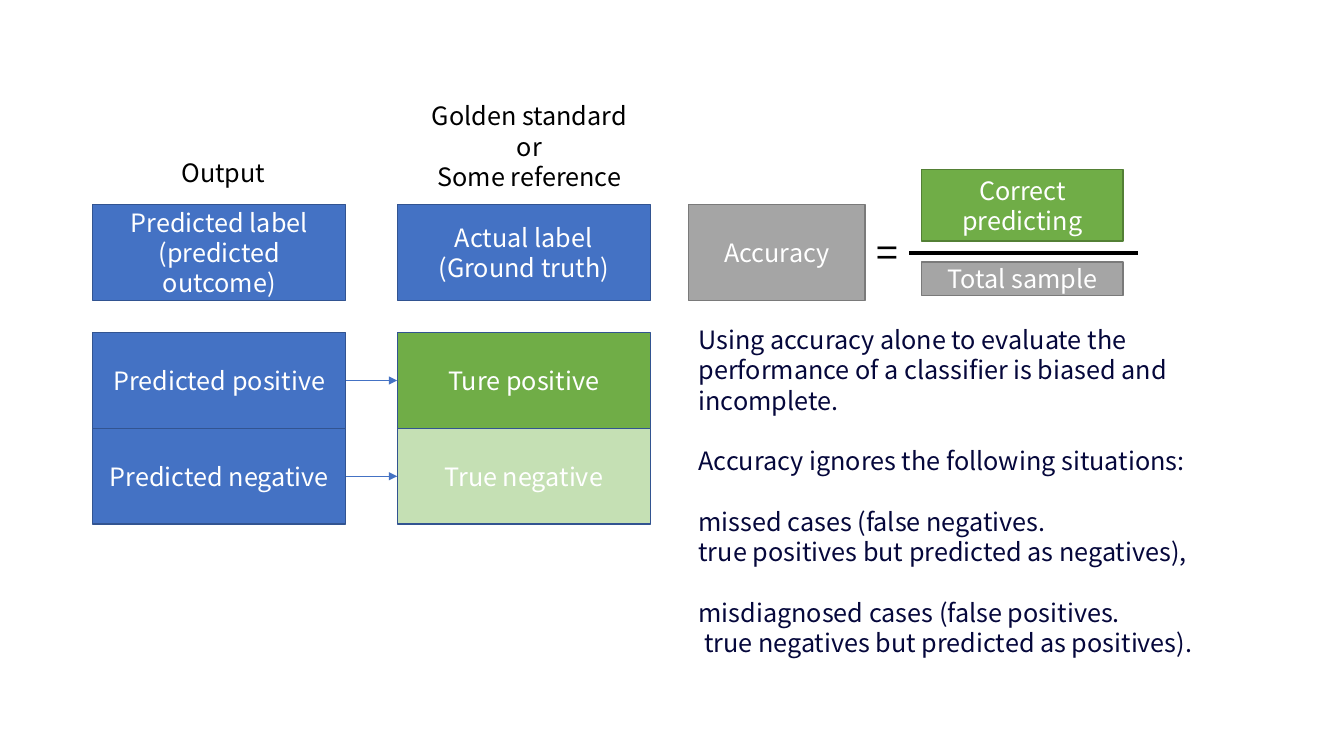
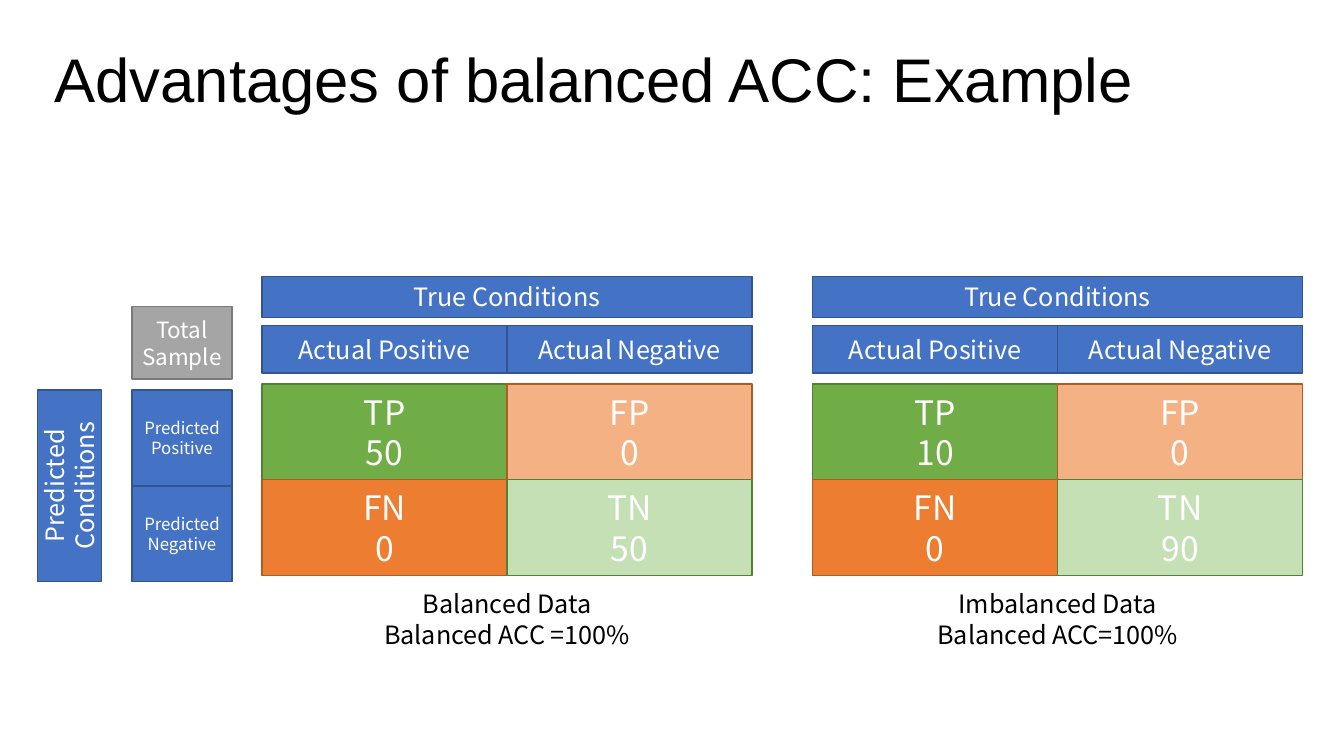
from lxml import etree
from pptx import Presentation
from pptx import util as u
from pptx.dml.color import RGBColor
from pptx.enum import shapes, text
from pptx.oxml import ns

BODY_FONT, TITLE_FONT = "Noto Sans CJK SC", "Arial"
BLUE, GREEN, GRAY = ("4472C4", "325491"), ("70AD47", "538035"), ("A5A5A5", "7A7A7A")
ORANGE, PEACH, PALE = ("ED7D31", "AF5C24"), ("F4B183", "AF5C24"), ("C5E0B4", "538035")
WHITE, BLACK, NAVY = "FFFFFF", "000000", "05073B"
CENTER, LEFT = text.PP_ALIGN.CENTER, text.PP_ALIGN.LEFT
ROW = 0.95


def color(value):
    """Turn a hex string into a colour."""
    return RGBColor.from_string(value)


def set_all(target, **values):
    """Set each given attribute on the target."""
    for name, value in values.items():
        setattr(target, name, value)


def write(shape, lines, size, ink, align=CENTER, font=BODY_FONT, frame=None):
    """Write one paragraph per line in a single style."""
    text_frame = shape.text_frame
    text_frame.text = lines
    set_all(text_frame, **{"word_wrap": True, **(frame or {})})
    for paragraph in text_frame.paragraphs:
        paragraph.alignment = align
        set_all(paragraph.font, name=font, size=u.Pt(size))
        paragraph.font.color.rgb = color(ink)
    return text_frame.paragraphs


def add_box(slide, box, lines, colors, size=18, rotation=0):
    """Add a filled rectangle with centred white text."""
    shape = slide.shapes.add_shape(shapes.MSO_SHAPE.RECTANGLE, *map(u.Inches, box))
    shape.shadow.inherit = False
    shape.rotation = rotation
    shape.fill.solid()
    shape.fill.fore_color.rgb = color(colors[0])
    shape.line.color.rgb = color(colors[1])
    shape.line.width = u.Pt(1)
    write(shape, lines, size, WHITE, frame={"vertical_anchor": text.MSO_ANCHOR.MIDDLE})
    return shape


def add_label(slide, box, lines, size=18, ink=BLACK, align=CENTER, wrap=True):
    """Add plain text and return its paragraphs."""
    shape = slide.shapes.add_textbox(*map(u.Inches, box))
    return write(shape, lines, size, ink, align, frame={"word_wrap": wrap})


def add_line(slide, start, end, ink, weight):
    """Add a straight line without a shadow."""
    line = slide.shapes.add_connector(
        shapes.MSO_CONNECTOR.STRAIGHT, *map(u.Inches, (*start, *end)))
    line.line.color.rgb = color(ink)
    line.line.width = u.Pt(weight)
    etree.SubElement(line._element.spPr, ns.qn("a:effectLst"))
    return line


def add_arrow(slide, source, target):
    """Join the right side of one box to the left side of another."""
    arrow = add_line(slide, (0, 0), (1, 1), BLUE[0], 0.5)
    arrow.begin_connect(source, 3)
    arrow.end_connect(target, 1)
    etree.SubElement(arrow.line._get_or_add_ln(), ns.qn("a:tailEnd"), type="triangle")


def add_label_column(slide, left, top, width, heading, cells):
    """Add a heading with two stacked cells below it."""
    add_box(slide, (left, top, width, ROW), heading, BLUE)
    return [add_box(slide, (left, top + 1.27 + i * ROW, width, ROW), name, (fill, BLUE[1]))
            for i, (name, fill) in enumerate(cells)]


def add_accuracy_formula(slide, left, top):
    """Add accuracy as a fraction of correct predictions over the sample."""
    middle = top + 0.83
    add_box(slide, (left, top + 0.35, 1.75, ROW), "Accuracy", GRAY)
    add_label(slide, (left + 1.75, top + 0.54, 0.44, 0.57), "=", 28)
    add_line(slide, (left + 2.19, middle), (left + 4.46, middle), BLACK, 3)
    add_box(slide, (left + 2.31, top, 2, 0.71), "Correct predicting", GREEN)
    add_box(slide, (left + 2.31, top + 0.92, 2, 0.33), "Total sample", GRAY)


def add_limits(slide, box):
    """Add the limits of accuracy in spaced groups."""
    paragraphs = add_label(slide, box, "\n".join([
        "Using accuracy alone to evaluate the performance of a classifier is biased and incomplete.",
        "Accuracy ignores the following situations:",
        "missed cases (false negatives.",
        "true positives but predicted as negatives),",
        "misdiagnosed cases (false positives.",
        " true negatives but predicted as positives).",
    ]), ink=NAVY, align=LEFT)
    for index in (1, 2, 4):
        paragraphs[index].space_before = u.Pt(21.7)


def add_row_headers(slide, left, top):
    """Add the sample box and the predicted conditions beside the matrices."""
    rows_top, width, length = top + 0.83, 0.64, 2 * ROW
    offset = (length - width) / 2
    add_box(slide, (left + 0.94, top, 0.99, 0.72), "Total Sample", GRAY, 16)
    add_box(slide, (left - offset, rows_top + offset, length, width),
            "Predicted Conditions", BLUE, rotation=270)
    for i, name in enumerate(("Predicted Positive", "Predicted Negative")):
        add_box(slide, (left + 0.94, rows_top + i * ROW, 0.99, ROW), name, BLUE, 12)


def add_matrix(slide, left, top, width, counts, caption):
    """Add a confusion matrix with its headers and caption."""
    half = width / 2
    add_box(slide, (left, top, width, 0.41), "True Conditions", BLUE)
    for i, name in enumerate(("Actual Positive", "Actual Negative")):
        add_box(slide, (left + i * half, top + 0.49, half, 0.47), name, BLUE)
    cells = zip(("TP", "FN", "FP", "TN"), counts, (GREEN, ORANGE, PEACH, PALE))
    for i, (name, count, colors) in enumerate(cells):
        column, row = divmod(i, 2)
        add_box(slide, (left + column * half, top + 1.07 + row * ROW, half, ROW),
                f"{name}\n{count}", colors, 24)
    add_label(slide, (left + half - 1.7, top + 3.05, 3.4, 0.71), caption)


def set_title(slide, box, words):
    """Place and format the slide title."""
    title = slide.shapes.title
    set_all(title, **dict(zip(("left", "top", "width", "height"), map(u.Inches, box))))
    paragraphs = write(title, words, 44, BLACK, LEFT, TITLE_FONT, {
        "vertical_anchor": text.MSO_ANCHOR.TOP, "auto_size": text.MSO_AUTO_SIZE.NONE})
    paragraphs[0].line_spacing = 0.9


def build_accuracy_slide(presentation):
    """Build the slide that defines accuracy."""
    slide = presentation.slides.add_slide(presentation.slide_layouts[6])
    predicted = add_label_column(
        slide, 0.92, 2.03, 2.51, "Predicted label\v(predicted outcome)",
        [("Predicted positive", BLUE[0]), ("Predicted negative", BLUE[0])])
    actual = add_label_column(
        slide, 3.94, 2.03, 2.51, "Actual label\n(Ground truth)",
        [("Ture positive", GREEN[0]), ("True negative", PALE[0])])
    for source, target in zip(predicted, actual):
        add_arrow(slide, source, target)
    add_label(slide, (1.68, 1.51, 1.07, 0.4), "Output", wrap=False)
    add_label(slide, (4.14, 0.95, 2.22, 1.01),
              "Golden standard\nor\nSome reference", wrap=False)
    add_accuracy_formula(slide, 6.83, 1.68)
    add_limits(slide, (6.83, 3.17, 5.46, 3.13))


def build_example_slide(presentation):
    """Build the slide that compares balanced and imbalanced data."""
    slide = presentation.slides.add_slide(presentation.slide_layouts[5])
    set_title(slide, (0.44, 0.44, 12.36, 0.77), "Advantages of balanced ACC: Example")
    add_row_headers(slide, 0.37, 3.04)
    add_matrix(slide, 2.6, 2.74, 4.86, (50, 0, 0, 50),
               "Balanced Data\nBalanced ACC =100%")
    add_matrix(slide, 8.06, 2.74, 4.86, (10, 0, 0, 90),
               "Imbalanced Data\nBalanced ACC=100%")


def main():
    """Build and save the presentation."""
    presentation = Presentation()
    set_all(presentation, slide_width=u.Inches(13.33), slide_height=u.Inches(7.5))
    build_accuracy_slide(presentation)
    build_example_slide(presentation)
    presentation.save("out.pptx")


if __name__ == "__main__":
    main()
